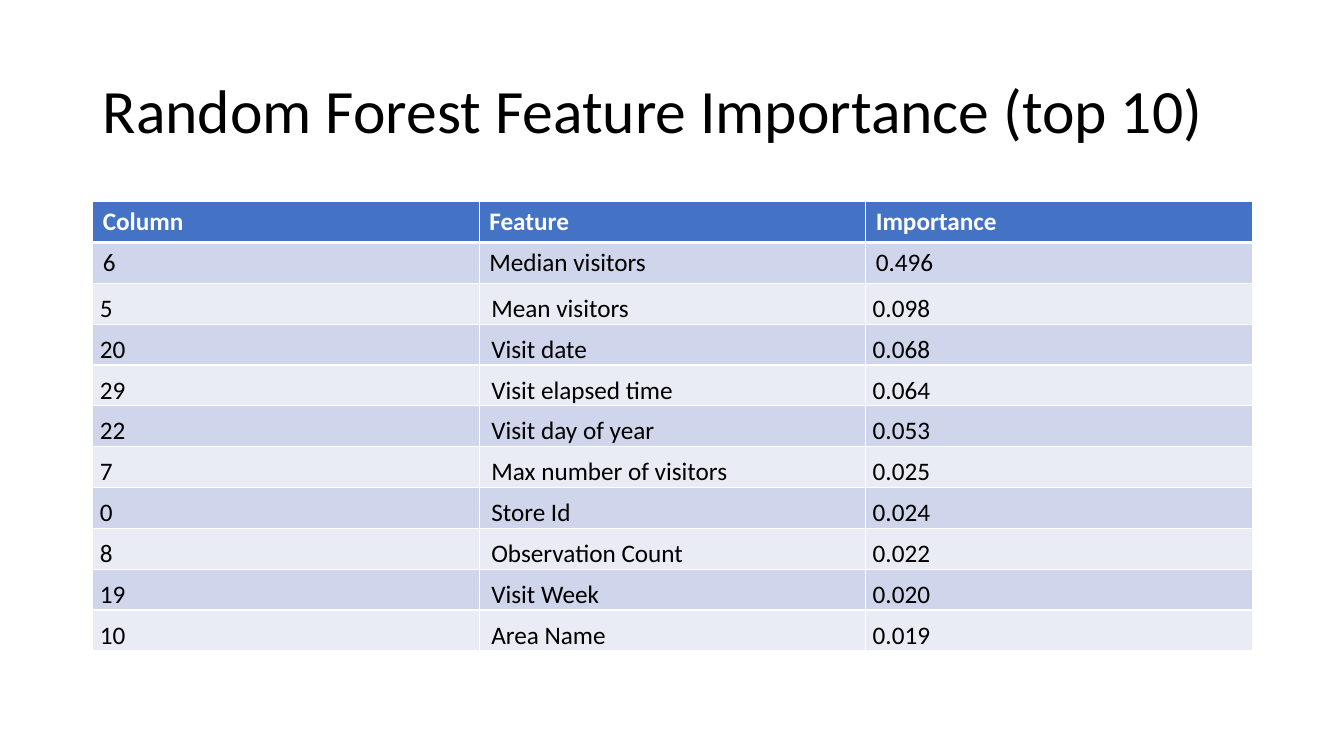
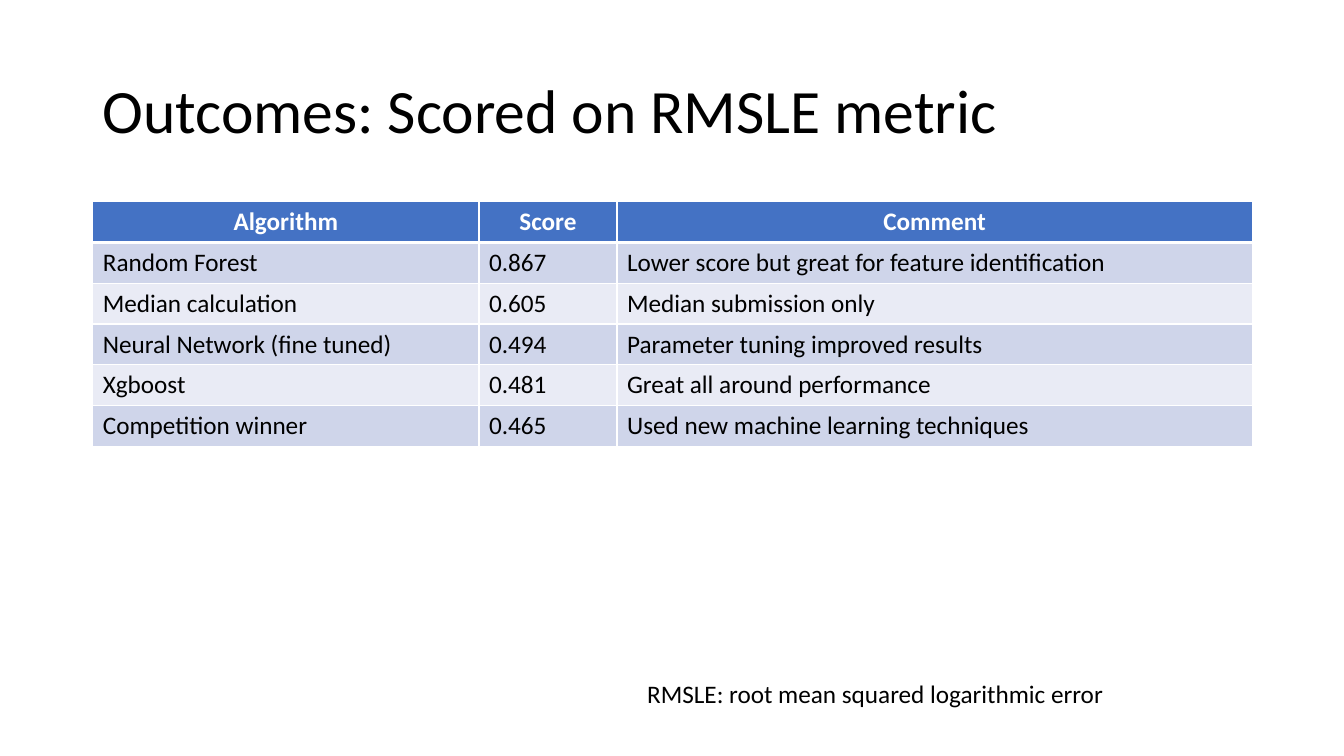
from lxml.etree import SubElement
from pptx import Presentation
from pptx.dml.color import RGBColor
from pptx.enum.text import MSO_ANCHOR as Anchor, PP_ALIGN as Align
from pptx.oxml.ns import qn
from pptx.util import Inches, Pt

COLORS = {"text": "000000", "white": "FFFFFF", "header": "4472C4",
          "odd": "CFD5EA", "even": "E9EBF5"}
FONT = "Calibri"
LEFT, CONTENT_WIDTH = 0.92, 11.5


def write(frame, text, size=18, color="text", bold=False, align=Align.LEFT, spacing=None):
    """Write one formatted paragraph into a text frame."""
    paragraph = frame.paragraphs[0]
    paragraph.alignment = align
    paragraph.line_spacing = spacing
    run = paragraph.add_run()
    run.text = text
    run.font.name = FONT
    run.font.size = Pt(size)
    run.font.bold = bold
    run.font.color.rgb = RGBColor.from_string(COLORS[color])


def add_borders(cell, top=1, bottom=1):
    """Give a cell white borders, with widths in points."""
    properties = cell._tc.get_or_add_tcPr()
    for side, width in (("L", 1), ("R", 1), ("T", top), ("B", bottom)):
        line = SubElement(properties, qn(f"a:ln{side}"), w=str(Pt(width)))
        fill = SubElement(line, qn("a:solidFill"))
        SubElement(fill, qn("a:srgbClr"), val=COLORS["white"])


class Deck:
    """Holds the presentation style and the current slide."""

    def __init__(self):
        """Start an empty widescreen presentation."""
        self.show = Presentation()
        self.show.slide_width = Inches(13.33)
        self.show.slide_height = Inches(7.5)
        self.slide = None

    def new_slide(self, title):
        """Add a blank slide with the shared title."""
        self.slide = self.show.slides.add_slide(self.show.slide_layouts[6])
        self.text(title, LEFT, 0.4, CONTENT_WIDTH, 1.45,
                  anchor=Anchor.MIDDLE, size=44, spacing=0.9)

    def text(self, text, left, top, width, height, anchor=Anchor.TOP, **style):
        """Add a wrapping text box."""
        frame = self.slide.shapes.add_textbox(
            Inches(left), Inches(top), Inches(width), Inches(height)).text_frame
        frame.word_wrap = True
        frame.vertical_anchor = anchor
        write(frame, text, **style)

    def table(self, rows, widths, height, header_align=Align.LEFT, indents=None):
        """Add a banded table; indents set rows after the first one low in their cells."""
        table = self.slide.shapes.add_table(
            len(rows), len(widths), Inches(LEFT), Inches(2),
            Inches(CONTENT_WIDTH), Inches(height)).table
        for column, width in zip(table.columns, widths):
            column.width = Inches(width)
        for r, row in enumerate(rows):
            for c, value in enumerate(row):
                cell = table.cell(r, c)
                add_borders(cell, top=3 if r == 1 else 1, bottom=3 if r == 0 else 1)
                cell.fill.solid()
                band = "header" if r == 0 else "odd" if r % 2 else "even"
                cell.fill.fore_color.rgb = RGBColor.from_string(COLORS[band])
                if indents and r > 1:
                    cell.vertical_anchor = Anchor.BOTTOM
                    cell.margin_left = Inches(indents[c])
                    cell.margin_top = cell.margin_right = Inches(0.01)
                    cell.margin_bottom = 0
                if r == 0:
                    write(cell.text_frame, value, color="white", bold=True, align=header_align)
                else:
                    write(cell.text_frame, value)


FEATURES = [
    ("Column", "Feature", "Importance"),
    ("6", "Median visitors", "0.496"),
    ("5", "Mean visitors", "0.098"),
    ("20", "Visit date", "0.068"),
    ("29", "Visit elapsed time", "0.064"),
    ("22", "Visit day of year", "0.053"),
    ("7", "Max number of visitors", "0.025"),
    ("0", "Store Id", "0.024"),
    ("8", "Observation Count", "0.022"),
    ("19", "Visit Week", "0.020"),
    ("10", "Area Name", "0.019"),
]
OUTCOMES = [
    ("Algorithm", "Score", "Comment"),
    ("Random Forest", "0.867", "Lower score but great for feature identification"),
    ("Median calculation", "0.605", "Median submission only"),
    ("Neural Network (fine tuned)", "0.494", "Parameter tuning improved results"),
    ("Xgboost", "0.481", "Great all around performance"),
    ("Competition winner", "0.465", "Used new machine learning techniques"),
]

deck = Deck()
deck.new_slide("Random Forest Feature Importance (top 10)")
deck.table(FEATURES, [CONTENT_WIDTH / 3] * 3, 4.46, indents=(0.07, 0.12, 0.07))

deck.new_slide("Outcomes: Scored on RMSLE metric")
deck.table(OUTCOMES, (3.83, 1.37, 6.3), 2.43, header_align=Align.CENTER)
deck.text("RMSLE: root mean squared logarithmic error", 6.32, 6.68, 7, 0.4)

deck.show.save("out.pptx")
